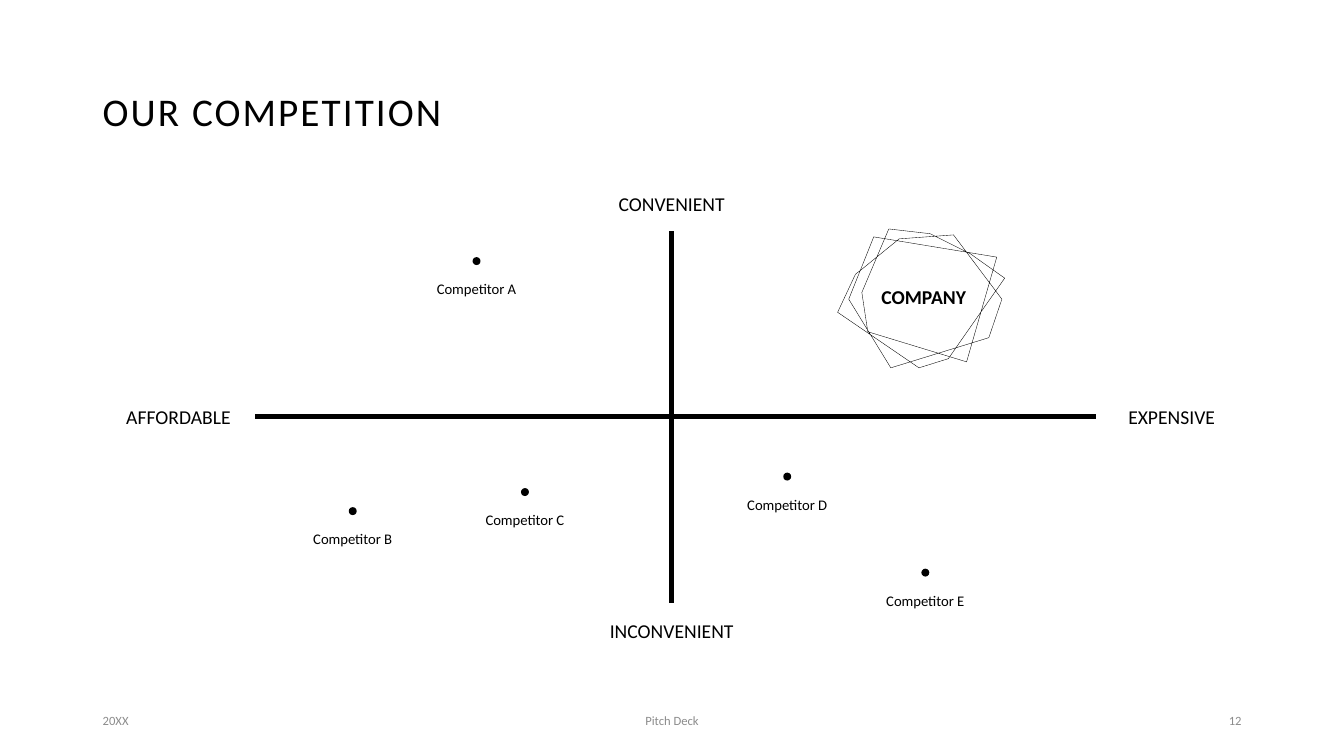
from lxml import etree
from pptx import Presentation
from pptx.dml.color import RGBColor
from pptx.enum.shapes import MSO_CONNECTOR, MSO_SHAPE
from pptx.enum.text import MSO_ANCHOR, PP_ALIGN
from pptx.oxml.ns import qn
from pptx.util import Cm, Pt

BLACK = RGBColor(0x00, 0x00, 0x00)
GRAY = RGBColor(0x8C, 0x8C, 0x8C)
FONT = "Calibri"

# Centre of the matrix, in cm
CENTER_X, CENTER_Y = 16.93, 10.49
DOT_SIZE = 0.2
LABEL_DROP = 0.7

# Axis labels: text, centre x, centre y
AXIS_LABELS = [
    ("CONVENIENT", CENTER_X, 5.13),
    ("INCONVENIENT", CENTER_X, 15.88),
    ("AFFORDABLE", 4.5, CENTER_Y),
    ("EXPENSIVE", 29.53, CENTER_Y),
]

# Competitors: name, dot centre x, dot centre y
COMPETITORS = [
    ("Competitor A", 12.01, 6.58),
    ("Competitor B", 8.89, 12.88),
    ("Competitor C", 13.23, 12.4),
    ("Competitor D", 19.84, 12.01),
    ("Competitor E", 23.32, 14.43),
]

# Corners of the overlapping polygons around the company name
BURST = [
    (22.66, 6.02), (21.69, 6.81), (21.56, 6.91), (21.11, 7.87), (23.16, 9.27),
    (23.9, 9.04), (24.59, 8.05), (25.32, 7.01), (24.46, 6.4), (23.44, 5.89),
    (22.4, 5.77), (21.72, 7.37), (21.87, 8.36), (24.36, 9.12), (25.12, 6.48),
    (22.02, 5.97), (21.39, 7.54), (22.45, 9.27), (24.92, 8.51), (25.25, 7.54),
    (24.03, 5.92),
]

# Footer: text, left, width, alignment
FOOTER = [
    ("20XX", 2.34, 7.62, PP_ALIGN.LEFT),
    ("Pitch Deck", 11.22, 11.43, PP_ALIGN.CENTER),
    ("12", 23.92, 7.62, PP_ALIGN.RIGHT),
]


def add_text(slide, text, left, top, width, height, size,
             color=BLACK, align=PP_ALIGN.LEFT, bold=False):
    box = slide.shapes.add_textbox(Cm(left), Cm(top), Cm(width), Cm(height))
    frame = box.text_frame
    frame.word_wrap = True
    frame.vertical_anchor = MSO_ANCHOR.MIDDLE
    paragraph = frame.paragraphs[0]
    paragraph.text = text
    paragraph.alignment = align
    font = paragraph.font
    font.name, font.size, font.bold = FONT, Pt(size), bold
    font.color.rgb = color
    return paragraph


def add_label(slide, text, x, y, size, width=4.75, height=1.37, bold=False):
    """Add text centred on the point x, y."""
    add_text(slide, text, x - width / 2, y - height / 2, width, height, size,
             align=PP_ALIGN.CENTER, bold=bold)


def add_title(slide, text):
    paragraph = add_text(slide, text, 2.34, 1.02, 29.21, 3.68, 28)
    paragraph.line_spacing = 0.9
    paragraph.runs[0].font._element.set("spc", "150")


def add_axis(slide, x1, y1, x2, y2):
    axis = slide.shapes.add_connector(
        MSO_CONNECTOR.STRAIGHT, Cm(x1), Cm(y1), Cm(x2), Cm(y2))
    axis.line.color.rgb = BLACK
    axis.line.width = Pt(3.5)
    etree.SubElement(axis._element.spPr, qn("a:effectLst"))


def add_competitor(slide, name, x, y):
    dot = slide.shapes.add_shape(
        MSO_SHAPE.OVAL, Cm(x - DOT_SIZE / 2), Cm(y - DOT_SIZE / 2),
        Cm(DOT_SIZE), Cm(DOT_SIZE))
    dot.shadow.inherit = False
    dot.fill.solid()
    dot.fill.fore_color.rgb = BLACK
    dot.line.fill.background()
    add_label(slide, name, x, y + LABEL_DROP, 10.5, width=3.28)


def add_burst(slide, corners):
    points = [(Cm(x), Cm(y)) for x, y in corners]
    builder = slide.shapes.build_freeform(*points[0])
    builder.add_line_segments(points[1:], close=True)
    burst = builder.convert_to_shape()
    burst.shadow.inherit = False
    burst.fill.background()
    burst.line.color.rgb = BLACK
    burst.line.width = Pt(0.25)


def main():
    presentation = Presentation()
    presentation.slide_width, presentation.slide_height = Cm(33.87), Cm(19.05)
    slide = presentation.slides.add_slide(presentation.slide_layouts[6])

    # Axes of the matrix
    add_axis(slide, 6.43, CENTER_Y, 27.61, CENTER_Y)
    add_axis(slide, CENTER_X, 15.19, CENTER_X, 5.82)

    # Title and axis labels
    add_title(slide, "OUR COMPETITION")
    for text, x, y in AXIS_LABELS:
        add_label(slide, text, x, y, 14)

    # Competitors and our own position
    for name, x, y in COMPETITORS:
        add_competitor(slide, name, x, y)
    add_burst(slide, BURST)
    add_label(slide, "COMPANY", 23.28, 7.48, 14, height=2.92, bold=True)

    # Footer
    for text, left, width, align in FOOTER:
        add_text(slide, text, left, 17.65, width, 1.02, 9, GRAY, align)

    presentation.save("out.pptx")


if __name__ == "__main__":
    main()
